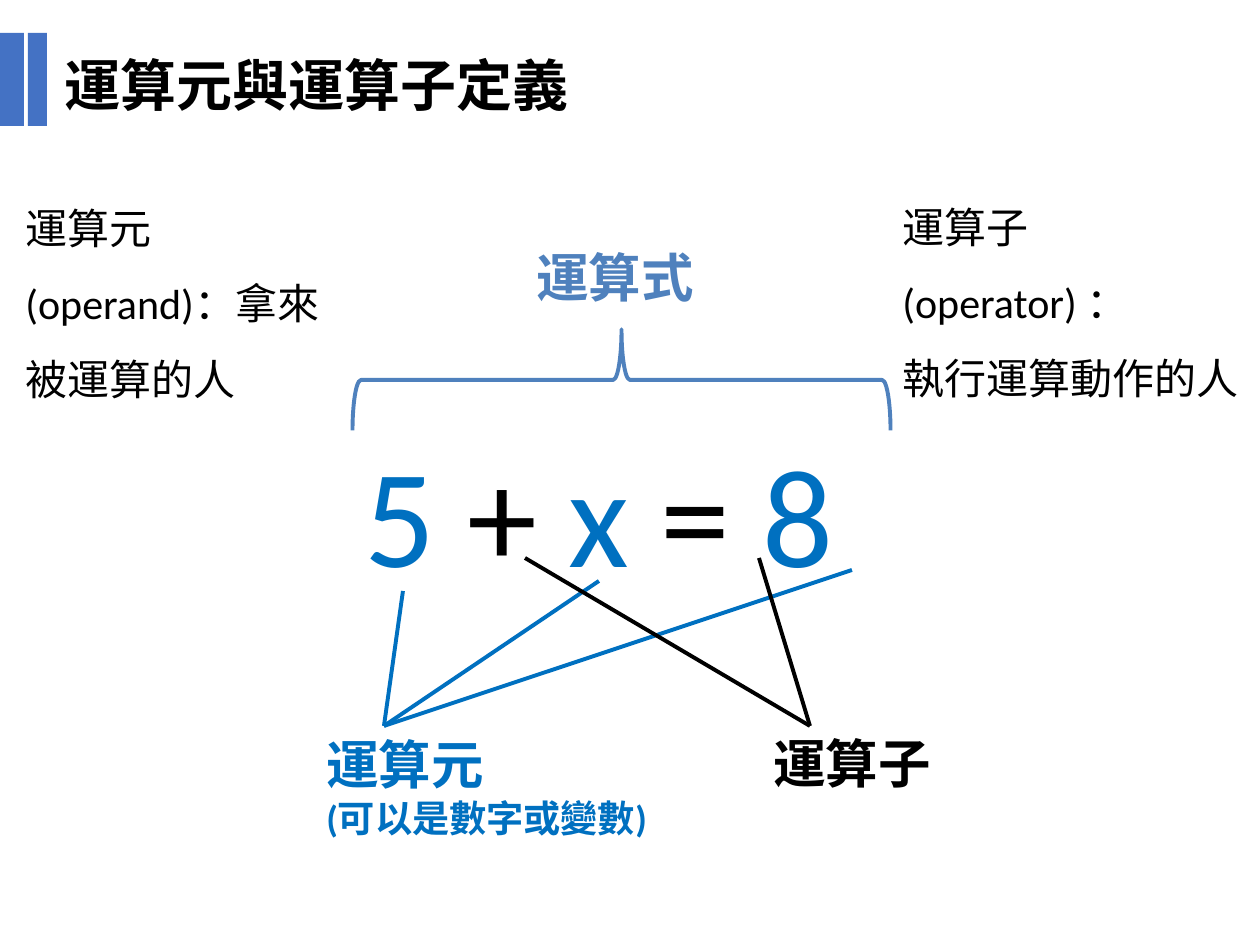
from lxml import etree
from pptx import Presentation
from pptx import util as u
from pptx.dml.color import RGBColor
from pptx.enum import shapes, text
from pptx.oxml.ns import qn

PX = 914400 // 126
THEME = {
    "black": "000000", "operand": "0070C0", "brace": "4F81BD", "accent": "4472C4",
    "font": "Calibri", "title_font": "Arial",
    "title": 32, "body": 24, "label": 30, "note": 21.3, "equation": 80, "line": 2.25,
}

TITLE = ("運算元與運算子定義", (52, 44, 673, 81))
TITLE_BARS = [(0, 33, 24, 93), (28, 33, 19, 93)]
DEFINITIONS = [
    (["運算元(operand)：拿來被運算的人"], (13, 164, 350, 271), 13),
    (["運算子(operator) ：", "執行運算動作的人"], (890, 170, 363, 158), 6),
]
LABELS = [
    ("運算式", (524, 239, 184, 77), "brace"),
    ("運算子", (761, 725, 184, 77), "black"),
]
OPERAND_NOTE = (["運算元", "(可以是數字或變數)"], (314, 726, 352, 121))
EQUATION = [("5", "operand"), (" + ", "black"), ("x ", "operand"),
            ("= ", "black"), ("8", "operand")]
EQUATION_BOX = (352, 421, 499, 183)
BRACE_BOX = (571, 111, 101, 538)
POINTERS = [
    ("operand", (384, 726), [(403, 591), (852, 570), (599, 581)]),
    ("black", (810, 726), [(759, 558), (525, 558)]),
]


def px(*values):
    return [u.Emu(value * PX) for value in values]


def color(name):
    return RGBColor.from_string(THEME[name])


def style(font, size, color_name, bold=False, family="font"):
    font.name = THEME[family]
    font.size = u.Pt(THEME[size])
    font.bold = bold
    font.color.rgb = color(color_name)


def add_text(slide, lines, box, size, color_name, bold=False, wrap=True):
    frame = slide.shapes.add_textbox(*px(*box)).text_frame
    frame.word_wrap = wrap
    frame.text = "\n".join(lines)
    for paragraph in frame.paragraphs:
        for run in paragraph.runs:
            style(run.font, size, color_name, bold)
    return frame


def add_title(slide):
    content, box = TITLE
    title = slide.shapes.title
    title.left, title.top, title.width, title.height = px(*box)
    frame = title.text_frame
    frame.text = content
    frame.auto_size = text.MSO_AUTO_SIZE.NONE
    frame.vertical_anchor = text.MSO_ANCHOR.TOP
    paragraph = frame.paragraphs[0]
    paragraph.alignment = text.PP_ALIGN.LEFT
    style(paragraph.runs[0].font, "title", "black", True, "title_font")
    for bar_box in TITLE_BARS:
        bar = slide.shapes.add_shape(shapes.MSO_SHAPE.RECTANGLE, *px(*bar_box))
        bar.shadow.inherit = False
        bar.fill.solid()
        bar.fill.fore_color.rgb = color("accent")
        bar.line.fill.background()


def add_brace(slide):
    brace = slide.shapes.add_shape(shapes.MSO_SHAPE.LEFT_BRACE, *px(*BRACE_BOX))
    brace.rotation = 90
    brace.shadow.inherit = False
    brace.fill.background()
    brace.line.color.rgb = color("brace")
    brace.line.width = u.Pt(THEME["line"])


def add_pointer(slide, start, end, color_name):
    pointer = slide.shapes.add_connector(
        shapes.MSO_CONNECTOR.STRAIGHT, *px(*start, *end))
    pointer.line.color.rgb = color(color_name)
    pointer.line.width = u.Pt(THEME["line"])
    etree.SubElement(pointer._element.spPr, qn("a:effectLst"))


def add_equation(slide):
    frame = add_text(slide, [], EQUATION_BOX, "equation", "black", wrap=False)
    for term, color_name in EQUATION:
        run = frame.paragraphs[0].add_run()
        run.text = term
        style(run.font, "equation", color_name)


def main():
    presentation = Presentation()
    presentation.slide_width, presentation.slide_height = px(1260, 945)
    slide = presentation.slides.add_slide(presentation.slide_layouts[5])
    add_title(slide)
    for lines, box, inset in DEFINITIONS:
        frame = add_text(slide, lines, box, "body", "black")
        frame.margin_top = u.Emu(inset * PX)
        for paragraph in frame.paragraphs:
            paragraph.line_spacing = 1.5
    add_brace(slide)
    for label, box, color_name in LABELS:
        add_text(slide, [label], box, "label", color_name, True, wrap=False)
    add_equation(slide)
    lines, box = OPERAND_NOTE
    note = add_text(slide, lines, box, "label", "operand", True)
    note.paragraphs[1].runs[0].font.size = u.Pt(THEME["note"])
    for color_name, target, starts in POINTERS:
        for start in starts:
            add_pointer(slide, start, target, color_name)
    presentation.save("out.pptx")


if __name__ == "__main__":
    main()
